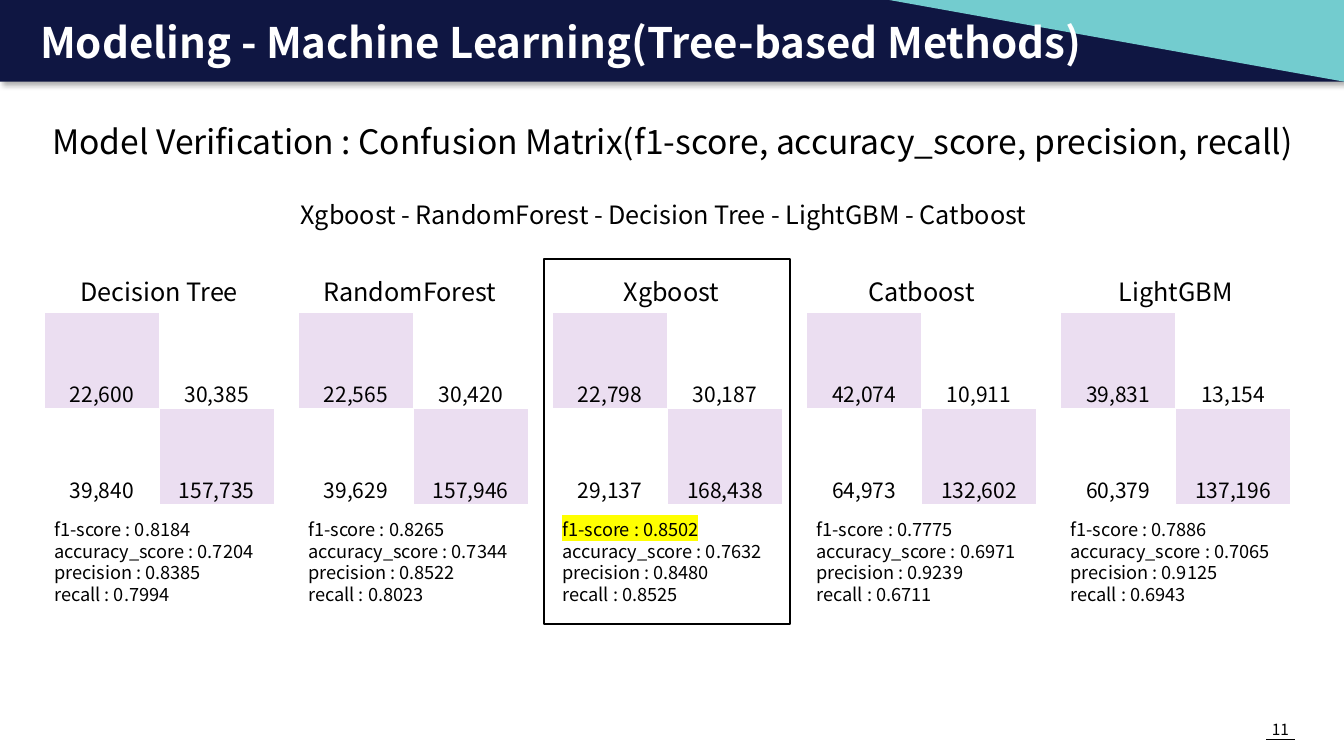
from dataclasses import dataclass

from lxml.etree import SubElement, fromstring
from pptx import Presentation
from pptx.dml.color import RGBColor
from pptx.enum.shapes import MSO_CONNECTOR as Connector, MSO_SHAPE as Preset
from pptx.enum.text import MSO_ANCHOR as Anchor, MSO_AUTO_SIZE as AutoSize, PP_ALIGN as Align
from pptx.oxml.ns import nsdecls, qn
from pptx.util import Pt

PX = 9144


@dataclass(frozen=True)
class Theme:
    font: str = "Noto Sans CJK KR"
    ink: str = "000000"
    paper: str = "FFFFFF"
    navy: str = "0F1642"
    teal: str = "73CCCF"
    lilac: str = "EBDEF1"
    marker: str = "FFFF00"
    title: int = 30
    subtitle: int = 24
    heading: int = 18
    count: int = 15
    score: int = 13
    page_number: int = 11


class SlideBuilder:
    """Draw styled elements on one slide, with lengths in px."""

    def __init__(self, page, theme):
        self.page = page
        self.theme = theme

    def span(self, para, text, size, color=None, bold=False, marked=False):
        span = para.add_run()
        span.text = text
        font = span.font
        font.size = Pt(size)
        font.bold = bold
        font.color.rgb = RGBColor.from_string(color or self.theme.ink)
        if marked:
            highlight = fromstring(
                f'<a:highlight {nsdecls("a")}><a:srgbClr val="{self.theme.marker}"/></a:highlight>'
            )
            span._r.rPr.find(qn("a:solidFill")).addnext(highlight)
        font.name = self.theme.font

    def text(self, at, lines, size, align=Align.CENTER, marked_line=None):
        box = self.page.shapes.add_textbox(*(value * PX for value in at))
        frame = box.text_frame
        frame.word_wrap = True
        frame.auto_size = AutoSize.SHAPE_TO_FIT_TEXT
        for index, line in enumerate(lines):
            para = frame.add_paragraph() if index else frame.paragraphs[0]
            para.alignment = align
            self.span(para, line, size, marked=index == marked_line)

    def title(self, at, text):
        box = self.page.shapes.add_textbox(*(value * PX for value in at))
        frame = box.text_frame
        frame.word_wrap = True
        frame.vertical_anchor = Anchor.MIDDLE
        para = frame.paragraphs[0]
        para.line_spacing = 0.9
        self.span(para, text, self.theme.title, self.theme.paper, bold=True)

    def shape(self, preset, at, fill=None, line=None, rotation=0, shadow=False):
        shape = self.page.shapes.add_shape(preset, *(value * PX for value in at))
        shape.rotation = rotation
        shape.shadow.inherit = False
        if fill:
            shape.fill.solid()
            shape.fill.fore_color.rgb = RGBColor.from_string(fill)
        else:
            shape.fill.background()
        if line:
            shape.line.color.rgb = RGBColor.from_string(line)
            shape.line.width = Pt(1.5)
        else:
            shape.line.fill.background()
        if shadow:
            effects = shape._element.spPr.find(qn("a:effectLst"))
            effects.append(fromstring(
                f'<a:outerShdw {nsdecls("a")} blurRad="{Pt(4)}" dist="{Pt(3)}" dir="2700000">'
                f'<a:srgbClr val="{self.theme.ink}"><a:alpha val="29000"/></a:srgbClr></a:outerShdw>'
            ))

    def line(self, start, end):
        ends = (value * PX for value in (*start, *end))
        line = self.page.shapes.add_connector(Connector.STRAIGHT, *ends)
        line.line.color.rgb = RGBColor.from_string(self.theme.ink)
        line.line.width = Pt(0.5)
        SubElement(line._element.spPr, qn("a:effectLst"))

    def matrix(self, at, counts):
        left, top, width, height = (value * PX for value in at)
        table = self.page.shapes.add_table(2, 2, left, top, width, height).table
        table.first_row = False
        table.horz_banding = False
        for index, count in enumerate(counts):
            row, column = divmod(index, 2)
            cell = table.cell(row, column)
            cell.margin_top = 5 * PX
            cell.margin_bottom = 0
            properties = cell._tc.get_or_add_tcPr()
            for side in ("lnL", "lnR", "lnT", "lnB"):
                properties.append(fromstring(
                    f'<a:{side} {nsdecls("a")} w="{Pt(1)}"><a:solidFill>'
                    f'<a:srgbClr val="{self.theme.paper}"/></a:solidFill></a:{side}>'
                ))
            if row == column:
                cell.fill.solid()
                cell.fill.fore_color.rgb = RGBColor.from_string(self.theme.lilac)
            else:
                cell.fill.background()
            para = cell.text_frame.paragraphs[0]
            para.alignment = Align.CENTER
            para.line_spacing = 3.0
            self.span(para, count, self.theme.count)


METRICS = ("f1-score", "accuracy_score", "precision", "recall")
BEST = "Xgboost"
MODELS = (
    ("Decision Tree", 228, ("22,600", "30,385", "39,840", "157,735"),
     ("0.8184", "0.7204", "0.8385", "0.7994")),
    ("RandomForest", 221, ("22,565", "30,420", "39,629", "157,946"),
     ("0.8265", "0.7344", "0.8522", "0.8023")),
    ("Xgboost", 236, ("22,798", "30,187", "29,137", "168,438"),
     ("0.8502", "0.7632", "0.8480", "0.8525")),
    ("Catboost", 228, ("42,074", "10,911", "64,973", "132,602"),
     ("0.7775", "0.6971", "0.9239", "0.6711")),
    ("LightGBM", 228, ("39,831", "13,154", "60,379", "137,196"),
     ("0.7886", "0.7065", "0.9125", "0.6943")),
)


def main():
    deck = Presentation()
    deck.slide_width, deck.slide_height = 1333 * PX, 750 * PX
    theme = Theme()
    slide = SlideBuilder(deck.slides.add_slide(deck.slide_layouts[6]), theme)

    slide.shape(Preset.RECTANGLE, (0, 0, 1333, 81), fill=theme.navy, shadow=True)
    slide.shape(Preset.RIGHT_TRIANGLE, (882, 0, 451, 81), fill=theme.teal, rotation=180)
    slide.text((1236, 709, 68, 28), ["11"], theme.page_number)
    slide.line((1256, 734), (1284, 734))
    slide.title((30, 19, 1275, 51), "Modeling - Machine Learning(Tree-based Methods)")
    slide.text((13, 115, 1308, 49),
               ["Model Verification : Confusion Matrix(f1-score, accuracy_score, precision, recall)"],
               theme.subtitle)
    slide.text((83, 193, 1150, 40),
               ["Xgboost - RandomForest - Decision Tree - LightGBM - Catboost"], theme.heading)

    for index, (name, heading_width, counts, scores) in enumerate(MODELS):
        left = 44 + 252 * index
        lines = [f"{metric} : {score}" for metric, score in zip(METRICS, scores)]
        slide.text((left, 269, heading_width, 40), [name], theme.heading)
        slide.matrix((left, 310, 228, 191), counts)
        slide.text((left, 509, 228, 96), lines, theme.score, Align.LEFT,
                   marked_line=0 if name == BEST else None)
        if name == BEST:
            slide.shape(Preset.RECTANGLE, (left - 8, 257, 244, 362), line=theme.ink)

    deck.save("out.pptx")


if __name__ == "__main__":
    main()
